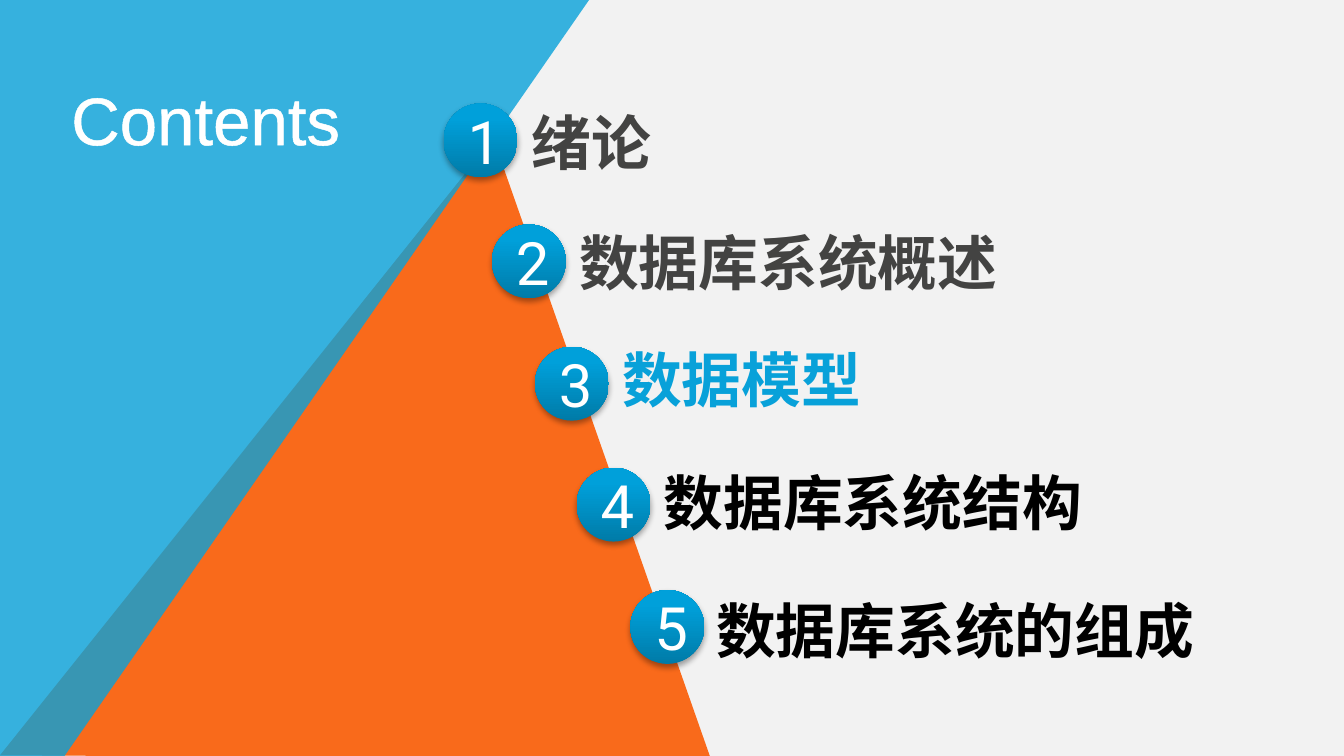
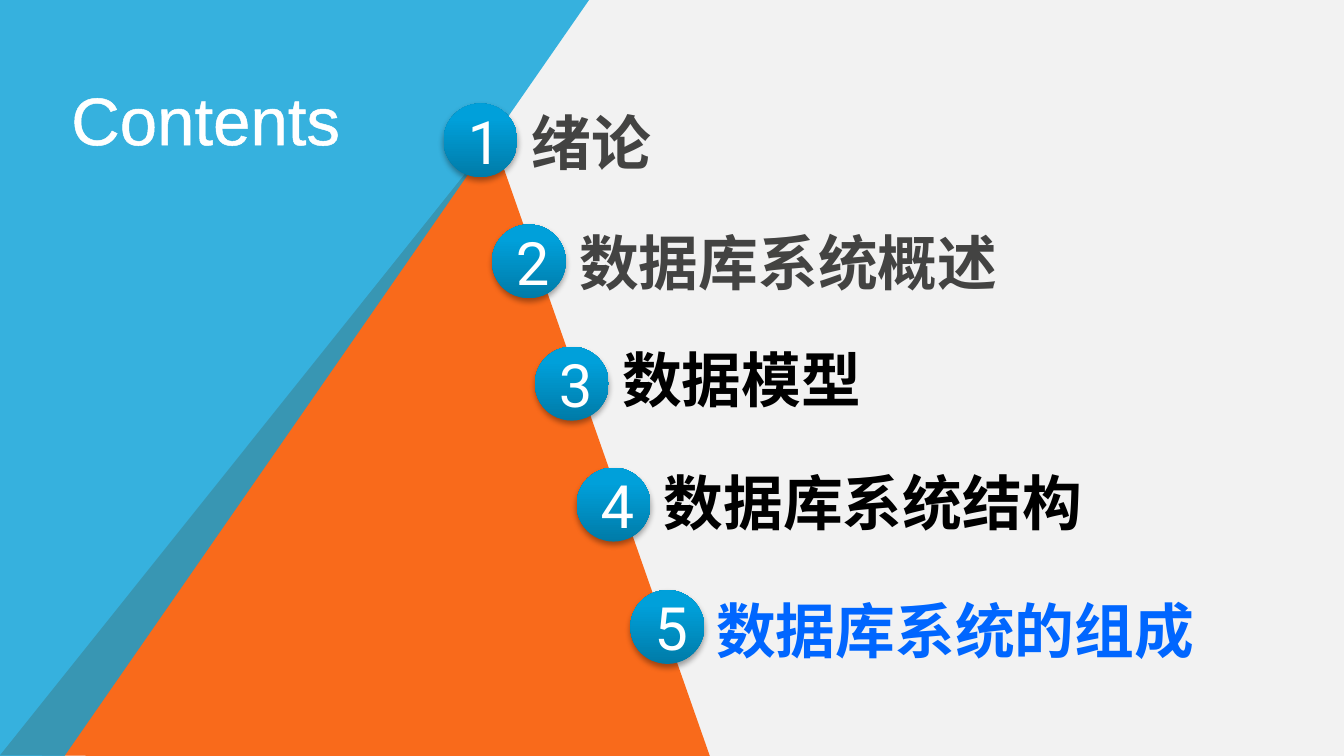
from lxml import etree
from pptx import Presentation
from pptx.dml.color import RGBColor
from pptx.enum.shapes import MSO_SHAPE
from pptx.enum.text import MSO_ANCHOR, MSO_AUTO_SIZE, PP_ALIGN
from pptx.oxml import parse_xml
from pptx.util import Inches, Pt

OVAL = MSO_SHAPE.OVAL
TOP, MIDDLE = MSO_ANCHOR.TOP, MSO_ANCHOR.MIDDLE
LEFT, CENTER = PP_ALIGN.LEFT, PP_ALIGN.CENTER
NO_FIT, GROW = MSO_AUTO_SIZE.NONE, MSO_AUTO_SIZE.SHAPE_TO_FIT_TEXT

PAPER = RGBColor(0xF2, 0xF2, 0xF2)
ORANGE = RGBColor(0xF9, 0x6A, 0x1B)
SKY = RGBColor(0x08, 0xA1, 0xD9)
WHITE = RGBColor(0xFF, 0xFF, 0xFF)
GRAY = RGBColor(0x43, 0x43, 0x42)
BLACK = RGBColor(0x00, 0x00, 0x00)
BLUE = RGBColor(0x00, 0x66, 0xFF)

NS = "http://schemas.openxmlformats.org/drawingml/2006/main"
BALL_FILL = f"""<a:gradFill xmlns:a="{NS}" rotWithShape="1"><a:gsLst>
<a:gs pos="0"><a:srgbClr val="007BA8"/></a:gs>
<a:gs pos="80000"><a:srgbClr val="00A0DA"/></a:gs>
<a:gs pos="100000"><a:srgbClr val="00A0DB"/></a:gs>
</a:gsLst><a:lin ang="16200000" scaled="0"/></a:gradFill>"""
BALL_SHADOW = f"""<a:effectLst xmlns:a="{NS}">
<a:outerShdw blurRad="40000" dist="23000" dir="5400000" rotWithShape="0">
<a:srgbClr val="000000"><a:alpha val="35000"/></a:srgbClr>
</a:outerShdw></a:effectLst>"""
TITLE_OUTLINE = f"""<a:ln xmlns:a="{NS}" w="18415"><a:solidFill>
<a:srgbClr val="FFFFFF"/></a:solidFill></a:ln>"""

BALL = 0.55
LABEL_HEIGHT = 0.64
# Chapter title, ball left and top, label left, top and width
CHAPTERS = [
    ("绪论", 3.3, 0.77, 3.86, 0.74, 1.3),
    ("数据库系统概述", 3.66, 1.67, 4.21, 1.63, 4.49),
    ("数据模型", 3.98, 2.58, 4.53, 2.5, 2.05),
    ("数据库系统结构", 4.29, 3.48, 4.84, 3.42, 3.86),
    ("数据库系统的组成", 4.69, 4.39, 5.23, 4.37, 4.41),
]
# Label colours of the five chapters on each page
PAGES = [
    (GRAY, GRAY, SKY, BLACK, BLACK),
    (GRAY, GRAY, BLACK, BLACK, BLUE),
]


def write_text(shape, text, size=32, font="Arial", color=WHITE, bold=False,
               align=LEFT, anchor=TOP, fit=NO_FIT):
    frame = shape.text_frame
    frame.word_wrap = True
    frame.auto_size = fit
    frame.vertical_anchor = anchor
    para = frame.paragraphs[0]
    para.alignment = align
    span = para.add_run()
    span.text = text
    span.font.size = Pt(size)
    span.font.name = font
    span.font.bold = bold
    span.font.color.rgb = color


def add_panel(page, points, color):
    corners = [(Inches(x), Inches(y)) for x, y in points]
    builder = page.shapes.build_freeform(*corners[0])
    builder.add_line_segments(corners[1:], close=True)
    panel = builder.convert_to_shape()
    panel.shadow.inherit = False
    panel.fill.solid()
    panel.fill.fore_color.rgb = color
    panel.line.fill.background()
    return panel


# Widescreen deck, 16 to 9
deck = Presentation()
deck.slide_width = Inches(10)
deck.slide_height = deck.slide_width * 9 // 16
layout = deck.slide_layouts[5]
pages = [deck.slides.add_slide(layout) for _ in PAGES]

# Shared backdrop: panels are drawn once, then moved into the layout
layout.background.fill.solid()
layout.background.fill.fore_color.rgb = PAPER
orange_panel = add_panel(
    pages[0], [(0, 5.62), (3.67, 1.03), (5.29, 5.65)], ORANGE)
blue_panel = add_panel(
    pages[0], [(-0.01, 5.66), (0, -0.01), (4.39, -0.01), (0.47, 5.64)], SKY)
sky_color = blue_panel.element.spPr.find(f".//{{{NS}}}srgbClr")
etree.SubElement(sky_color, f"{{{NS}}}alpha", val="80000")
for position, panel in enumerate((orange_panel, blue_panel), start=2):
    layout.shapes.element.insert(position, panel.element)

for page, colors in zip(pages, PAGES):
    # Title
    title = page.shapes.title
    title.left, title.top = Inches(0.43), Inches(0.53)
    title.width, title.height = Inches(2.68), Inches(0.53)
    write_text(title, "Contents", size=36)
    title.element.find(f".//{{{NS}}}rPr").insert(0, parse_xml(TITLE_OUTLINE))

    # Numbered chapters
    for number, (chapter, color) in enumerate(zip(CHAPTERS, colors), start=1):
        text, ball_left, ball_top, label_left, label_top, label_width = chapter
        ball = page.shapes.add_shape(
            OVAL, Inches(ball_left), Inches(ball_top), Inches(BALL), Inches(BALL))
        ball.element.spPr.append(parse_xml(BALL_FILL))
        ball.line.fill.background()
        ball.element.spPr.append(parse_xml(BALL_SHADOW))
        write_text(ball, str(number), font="Roboto", align=CENTER, anchor=MIDDLE)

        label = page.shapes.add_textbox(
            Inches(label_left), Inches(label_top),
            Inches(label_width), Inches(LABEL_HEIGHT))
        write_text(label, text, color=color, bold=True, fit=GROW)

deck.save("out.pptx")
